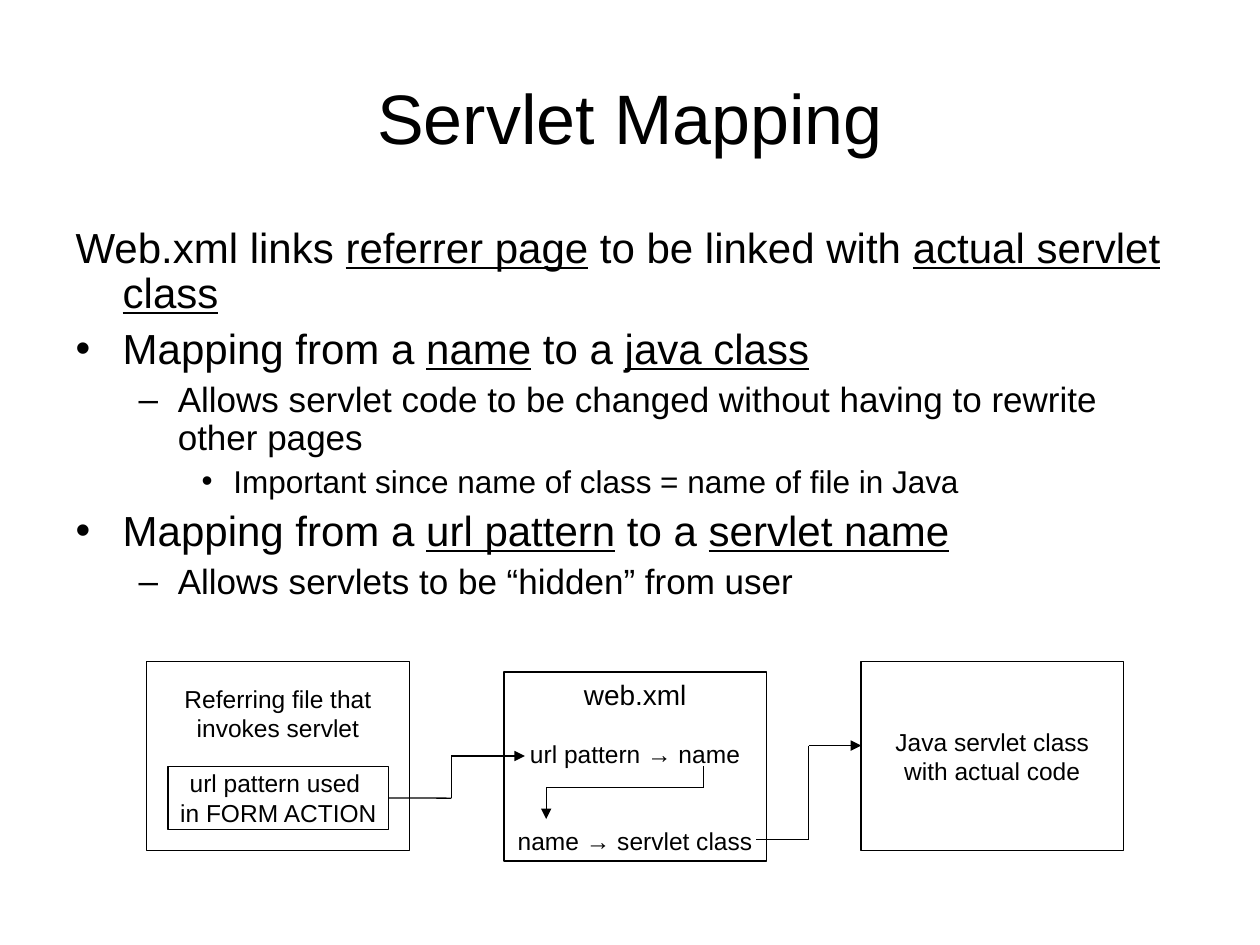
from lxml.etree import SubElement as Sub
from pptx import Presentation
from pptx.dml.color import RGBColor
from pptx.enum.shapes import MSO_CONNECTOR as Link, MSO_SHAPE as Shape
from pptx.enum.text import MSO_ANCHOR as Anchor, MSO_AUTO_SIZE as Fit, PP_ALIGN as Align
from pptx.oxml.ns import qn
from pptx.util import Cm, Pt


def color(code):
    return RGBColor.from_string(code)


class Deck:
    font = "Arial"
    ink = "000000"
    line = 0.75
    # Per list level: text size, left margin, hanging indent, space before, bullet
    levels = [(24, 0.95, 0.95, 6, "•"), (20, 2.06, 0.79, 5, "–"), (18, 3.18, 0.64, 4.5, "•")]

    def __init__(self):
        self.prs = Presentation()
        self.prs.slide_width, self.prs.slide_height = Cm(25.4), Cm(19.05)
        self.slide = self.prs.slides.add_slide(self.prs.slide_layouts[1])

    def run(self, para, text, size, under=False):
        run = para.add_run()
        run.text = text
        font = run.font
        font.name, font.size = self.font, Pt(size)
        font.color.rgb = color(self.ink)
        if under:
            font.underline = True

    def place(self, shape, left, top, width, height):
        shape.left, shape.top = Cm(left), Cm(top)
        shape.width, shape.height = Cm(width), Cm(height)
        shape.text_frame.auto_size = Fit.NONE
        return shape.text_frame

    def title(self, text, *area):
        frame = self.place(self.slide.shapes.title, *area)
        frame.vertical_anchor = Anchor.MIDDLE
        para = frame.paragraphs[0]
        para.alignment = Align.CENTER
        self.run(para, text, 40)

    def body(self, items, *area):
        """Every second part of an item is underlined."""
        frame = self.place(self.slide.placeholders[1], *area)
        for i, (level, mark, parts) in enumerate(items):
            para = frame.add_paragraph() if i else frame.paragraphs[0]
            size, left, hang, gap, sign = self.levels[level]
            para.level = level
            props = para._p.get_or_add_pPr()
            props.set("marL", str(Cm(left)))
            props.set("indent", str(-Cm(hang)))
            if mark:
                tint = Sub(props, qn("a:buClr"))
                Sub(tint, qn("a:srgbClr"), val=self.ink)
                Sub(props, qn("a:buFont"), typeface=self.font)
                Sub(props, qn("a:buChar"), char=sign)
            else:
                Sub(props, qn("a:buNone"))
            para.line_spacing = 0.9
            para.space_before = Pt(gap if i else 0)
            for j, text in enumerate(parts):
                self.run(para, text, size, j % 2 == 1)

    def box(self, rows, left, top, width, height, inset=None):
        """Rows hold text, size and space before; an inset pins text to the top."""
        box = self.slide.shapes.add_shape(
            Shape.RECTANGLE, Cm(left), Cm(top), Cm(width), Cm(height))
        box.shadow.inherit = False
        box.fill.background()
        box.line.color.rgb = color(self.ink)
        box.line.width = Pt(self.line)
        frame = box.text_frame
        frame.word_wrap = False
        frame.vertical_anchor = Anchor.MIDDLE
        if inset:
            frame.vertical_anchor = Anchor.TOP
            frame.margin_top = Cm(inset)
        for i, (text, size, gap) in enumerate(rows):
            para = frame.add_paragraph() if i else frame.paragraphs[0]
            para.alignment = Align.CENTER
            para.space_before = Pt(gap)
            for j, part in enumerate(text.split("\n")):
                if j:
                    para.add_line_break()
                self.run(para, part, size)
        return box

    def route(self, points, start=None):
        """Straight pieces through the points, with an arrowhead on the last."""
        last = len(points) - 2
        for i, (a, b) in enumerate(zip(points, points[1:])):
            wire = self.slide.shapes.add_connector(
                Link.STRAIGHT, *(Cm(v) for v in a + b))
            wire.line.color.rgb = color(self.ink)
            wire.line.width = Pt(self.line)
            if i == last:
                Sub(wire.line._get_or_add_ln(), qn("a:tailEnd"), type="triangle")
            Sub(wire._element.spPr, qn("a:effectLst"))
            if start and i == 0:
                wire.begin_connect(start, 3)

    def save(self):
        self.prs.save("out.pptx")


def main():
    deck = Deck()

    # Title and list
    deck.title("Servlet Mapping", 1.27, 0.76, 22.86, 3.18)
    deck.body([
        (0, False, ["Web.xml links ", "referrer page", " to be linked with ",
                    "actual servlet class"]),
        (0, True, ["Mapping from a ", "name", " to a ", "java class"]),
        (1, True, ["Allows servlet code to be changed without having to rewrite other pages"]),
        (2, True, ["Important since name of class = name of file in Java"]),
        (0, True, ["Mapping from a ", "url pattern", " to a ", "servlet name"]),
        (1, True, ["Allows servlets to be “hidden” from user"]),
    ], 1.27, 4.45, 22.86, 8.47)

    # Three files, evenly spaced
    first, step, top = 2.96, 7.2, 13.34
    size = 5.29, 3.81
    deck.box([("Referring file that\ninvokes servlet", 14, 0)], first, top, *size, inset=0.45)
    form = deck.box([("url pattern used \nin FORM ACTION", 14, 0)], 3.39, 15.45, 4.45, 1.27)
    deck.box([("web.xml", 16, 0), ("url pattern → name", 14, 16),
              ("name → servlet class", 14, 33)], first + step, top + 0.21, *size)
    code = first + 2 * step
    deck.box([("Java servlet class", 14, 0), ("with actual code", 14, 0)], code, top, *size)

    # Form to url pattern, name to name, servlet class to code
    deck.route([(7.84, 16.09), (9.1, 16.09), (9.1, 15.24), (10.58, 15.24)], form)
    deck.route([(14.18, 15.45), (14.18, 15.88), (11.01, 15.88), (11.01, 16.51)])
    deck.route([(15.24, 16.93), (16.3, 16.93), (16.3, 15.03), (code, 15.03)])

    deck.save()


if __name__ == "__main__":
    main()
